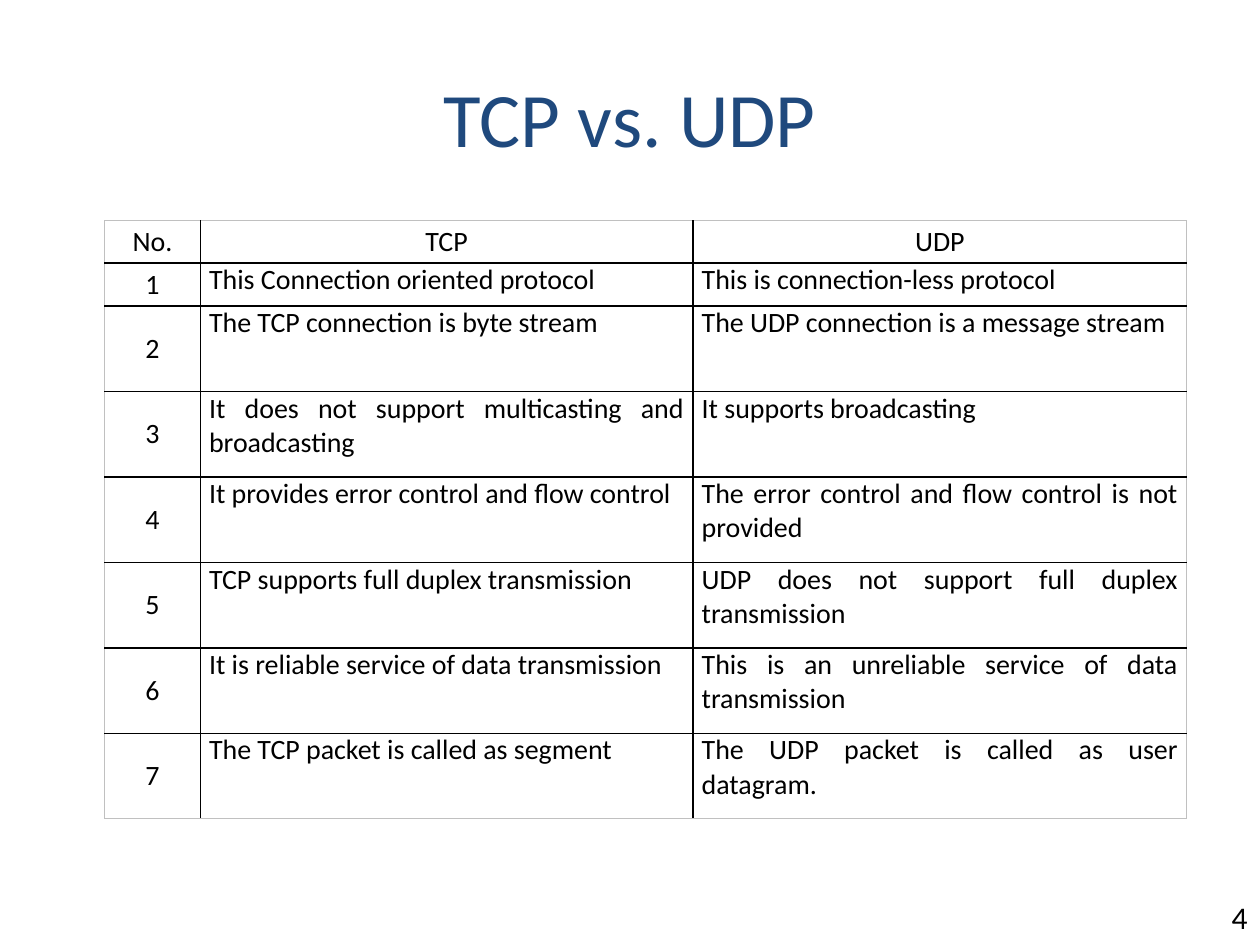
from dataclasses import dataclass

from lxml.etree import SubElement
from pptx import Presentation
from pptx.dml.color import RGBColor as Color
from pptx.enum.text import MSO_ANCHOR as Anchor, MSO_AUTO_SIZE as AutoSize, PP_ALIGN as Align
from pptx.oxml.ns import qn
from pptx.util import Inches, Pt


@dataclass(frozen=True)
class Theme:
    """Fonts, colours and sizes shared by the slide."""
    font: str = "Calibri"
    ink: str = "000000"
    title_ink: str = "1F497D"
    edge: str = "C0C0C0"
    title_size: int = 44
    table_size: int = 16
    number_size: int = 18
    rule: float = 1
    edge_rule: float = 0.5


THEME = Theme()
WIDTH, HEIGHT = Inches(10), Inches(7.5)
COLUMNS = (0.76, 3.91, 3.92)
ROW_UNIT = 4.75 / 14
ROWS = (
    ("No.", "TCP", "UDP"),
    ("1", "This Connection oriented protocol ", "This is connection-less protocol"),
    ("2", "The TCP connection is byte stream", "The UDP connection is a message stream"),
    ("3", "It does not support multicasting and broadcasting", "It supports broadcasting"),
    ("4", "It provides error control and flow control",
     "The error control and flow control is not provided"),
    ("5", "TCP supports full duplex transmission",
     "UDP does not support full duplex transmission"),
    ("6", "It is reliable service of data transmission",
     "This is an unreliable service of data transmission "),
    ("7", "The TCP packet is called as segment",
     "The UDP packet is called as user datagram."),
)


def write(frame, text, *, size, color=THEME.ink, align=Align.CENTER):
    """Put one formatted paragraph into a text frame."""
    para = frame.paragraphs[0]
    para.alignment = align
    span = para.add_run()
    span.text = text
    span.font.name = THEME.font
    span.font.size = Pt(size)
    span.font.bold = False
    span.font.color.rgb = Color.from_string(color)


def add_title(page, text):
    """Fill and place the title placeholder."""
    title = page.shapes.title
    title.left, title.top = int(WIDTH * 0.05), int(HEIGHT * 0.04)
    title.width, title.height = int(WIDTH * 0.9), Inches(1.25)
    title.text_frame.vertical_anchor = Anchor.MIDDLE
    write(title.text_frame, text, size=THEME.title_size, color=THEME.title_ink)


def add_page_number(page, text):
    """Set the page number in the bottom right corner."""
    width, height = Inches(0.75), Inches(0.42)
    box = page.shapes.add_textbox(WIDTH - width, HEIGHT - height, width, height)
    box.text_frame.word_wrap = True
    box.text_frame.auto_size = AutoSize.SHAPE_TO_FIT_TEXT
    write(box.text_frame, text, size=THEME.number_size, align=Align.RIGHT)


def add_borders(cell, outer_sides):
    """Rule a cell in ink, with a light line on the table's outer sides."""
    props = cell._tc.get_or_add_tcPr()
    for side in "LRTB":
        outer = side in outer_sides
        width = THEME.edge_rule if outer else THEME.rule
        line = SubElement(props, qn(f"a:ln{side}"), w=str(Pt(width)))
        fill = SubElement(line, qn("a:solidFill"))
        SubElement(fill, qn("a:srgbClr"), val=THEME.edge if outer else THEME.ink)


def format_cell(cell, text, *, centered, outer_sides):
    """Write one cell and set its margins, borders and fill."""
    cell.margin_left = cell.margin_right = Inches(0.07)
    cell.margin_top = cell.margin_bottom = 0
    cell.vertical_anchor = Anchor.MIDDLE if centered else Anchor.TOP
    add_borders(cell, outer_sides)
    cell.fill.background()
    write(cell.text_frame, text, size=THEME.table_size,
          align=Align.CENTER if centered else Align.JUSTIFY)


def add_comparison(page):
    """Build the comparison table, with double height from the third row on."""
    last_row, last_column = len(ROWS) - 1, len(COLUMNS) - 1
    table = page.shapes.add_table(
        len(ROWS), len(COLUMNS), Inches(0.83), Inches(1.75),
        Inches(sum(COLUMNS)), Inches(14 * ROW_UNIT)).table
    table.first_row = table.horz_banding = False
    for column, width in zip(table.columns, COLUMNS):
        column.width = Inches(width)
    for r, texts in enumerate(ROWS):
        table.rows[r].height = Inches(ROW_UNIT * (1 if r < 2 else 2))
        for c, text in enumerate(texts):
            edges = {"L": c == 0, "R": c == last_column, "T": r == 0, "B": r == last_row}
            format_cell(table.cell(r, c), text, centered=r == 0 or c == 0,
                        outer_sides=[side for side, outer in edges.items() if outer])


def main():
    """Build and save the slide."""
    deck = Presentation()
    deck.slide_width, deck.slide_height = WIDTH, HEIGHT
    page = deck.slides.add_slide(deck.slide_layouts.get_by_name("Title Only"))
    add_page_number(page, "4")
    add_title(page, "TCP vs. UDP")
    add_comparison(page)
    deck.save("out.pptx")


if __name__ == "__main__":
    main()
